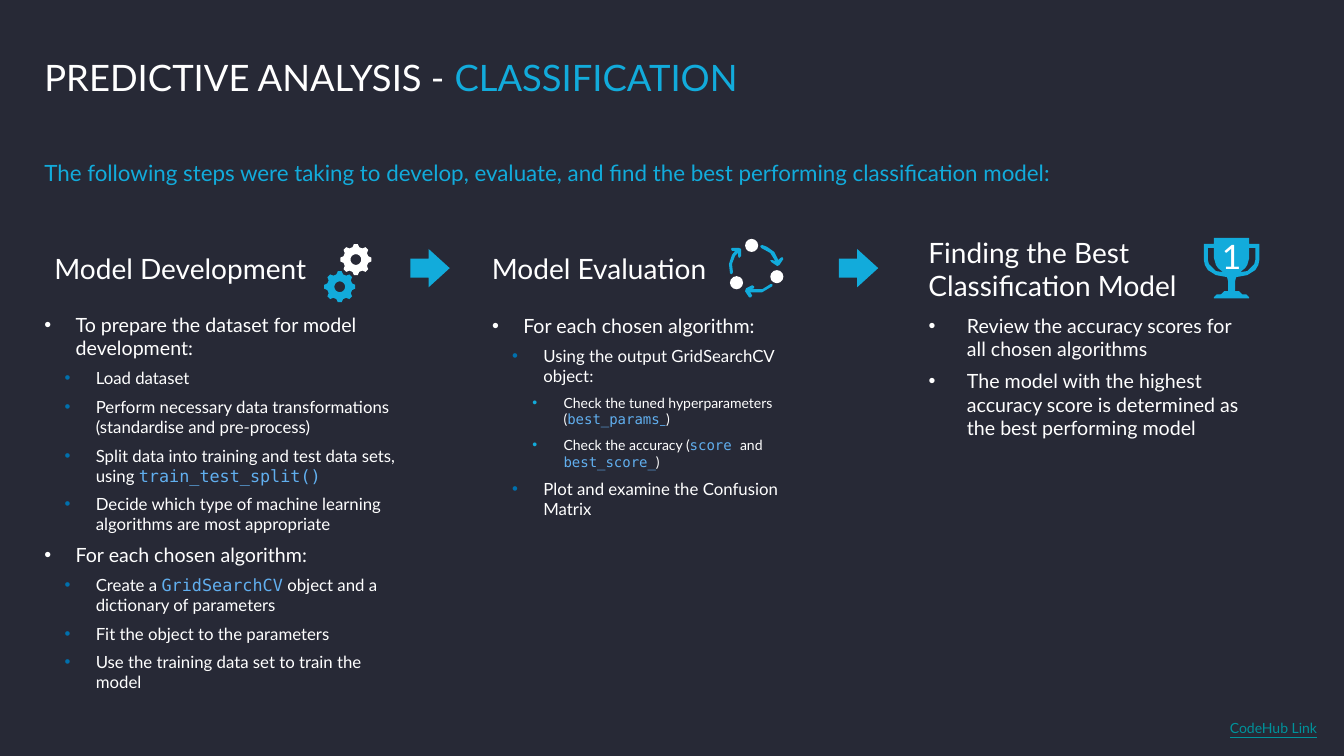
from dataclasses import dataclass
from math import cos, radians, sin
from typing import NamedTuple

from lxml.etree import SubElement
from pptx import Presentation
from pptx.dml.color import RGBColor
from pptx.enum.shapes import MSO_SHAPE
from pptx.enum.text import MSO_ANCHOR, MSO_AUTO_SIZE, PP_ALIGN
from pptx.oxml.ns import qn
from pptx.util import Emu, Pt

PX = 9144  # 100 px to the inch
WHITE, CYAN, BLUE, CODE_BLUE, TEAL = "FFFFFF", "12ABDB", "0070AD", "61AFEF", "00929B"
NIGHT = "272936"
LATO, MONO = "Lato", "DejaVu Sans Mono"
LEVEL_SIZES = (14, 12, 10)
BULLET_COLOURS = (WHITE, BLUE, CYAN)
HANGING, LEVEL_STEP = 31, 20

Points = list[tuple[float, float]]


class Span(NamedTuple):
    text: str
    colour: str = WHITE
    font: str = LATO


class Box(NamedTuple):
    left: int
    top: int
    width: int
    height: int


class Item(NamedTuple):
    level: int
    spans: list[Span]


@dataclass
class Step:
    heading: str
    heading_box: Box
    list_box: Box
    placeholder: int
    items: list[Item]
    inset: tuple[int, int] = (10, 5)
    hanging: int = HANGING


def code(text: str) -> Span:
    return Span(text, CODE_BLUE, MONO)


def item(level: int, *parts: str | Span) -> Item:
    return Item(level, [Span(part) if isinstance(part, str) else part for part in parts])


STEPS = [
    Step("Model Development", Box(44, 228, 378, 77), Box(44, 310, 363, 372), 2, [
        item(0, "To prepare the dataset for model development:"),
        item(1, "Load dataset"),
        item(1, "Perform necessary data transformations (standardise and pre-process)"),
        item(1, "Split data into training and test data sets, using ", code("train_test_split()")),
        item(1, "Decide which type of machine learning algorithms are most appropriate"),
        item(0, "For each chosen algorithm:"),
        item(1, "Create a ", code("GridSearchCV"), " object and a dictionary of parameters"),
        item(1, "Fit the object to the parameters"),
        item(1, "Use the training data set to train the model"),
    ], inset=(0, 0)),
    Step("Model Evaluation", Box(478, 232, 279, 69), Box(478, 306, 354, 376), 3, [
        item(0, "For each chosen algorithm:"),
        item(1, "Using the output GridSearchCV object:"),
        item(2, "Check the tuned hyperparameters (", code("best_params"), Span("_", CODE_BLUE), ")"),
        item(2, "Check the accuracy (", code("score "), "and ", code("best_score_"), ")"),
        item(1, "Plot and examine the Confusion Matrix"),
    ]),
    Step("Finding the Best Classification Model", Box(911, 227, 378, 79), Box(911, 306, 338, 376), 4, [
        item(0, "Review the accuracy scores for all chosen algorithms"),
        item(0, "The model with the highest accuracy score is determined as the best performing model"),
    ], hanging=38),
]
ARROW_LEFTS = (407, 832)

CYCLE_ARROWS: list[Points] = [
    [(755, 246), (764, 251), (769, 259), (766, 258), (764, 258), (765, 260), (771, 264), (773, 263),
     (777, 257), (776, 255), (774, 256), (772, 258), (768, 250), (761, 245), (756, 243), (754, 244)],
    [(724, 271), (725, 272), (726, 272), (727, 270), (726, 262), (729, 254), (732, 251), (732, 254),
     (733, 256), (735, 254), (735, 247), (733, 246), (726, 246), (725, 247), (726, 249), (729, 249),
     (726, 253), (723, 262)],
    [(764, 282), (756, 287), (745, 287), (748, 286), (748, 284), (746, 283), (740, 286), (739, 289),
     (743, 295), (745, 295), (746, 293), (744, 290), (756, 290), (766, 284), (766, 282)],
]
CYCLE_DOTS = ((724, 274), (764, 268), (739, 237))
DOT_SIZE = 13

TROPHY_AXIS = 1221.5
TROPHY_SIDE: Points = [
    (1239, 236), (1239, 242), (1249, 242), (1249, 258), (1248, 263), (1245, 268), (1237, 273),
    (1226, 275), (1225, 279), (1225, 289), (1229, 289), (1232, 292), (1236, 292), (1239, 295), (1239, 296)]
TROPHY_HANDLE: Points = [
    (1241, 265), (1244, 262), (1245, 258), (1245, 246), (1239, 246), (1239, 256), (1237, 263),
    (1235, 266), (1230, 270), (1237, 269)]


def hex_colour(value: str) -> RGBColor:
    return RGBColor.from_string(value)


def paint(shape, colour: str) -> None:
    shape.fill.solid()
    shape.fill.fore_color.rgb = hex_colour(colour)
    shape.line.fill.background()
    shape.shadow.inherit = False


def place(shape, box: Box) -> None:
    shape.left, shape.top, shape.width, shape.height = (Emu(px * PX) for px in box)


def set_frame(frame, inset=(10, 5), anchor=MSO_ANCHOR.TOP, wrap: bool = True) -> None:
    frame.auto_size = MSO_AUTO_SIZE.NONE
    frame.word_wrap = wrap
    frame.vertical_anchor = anchor
    frame.margin_left = frame.margin_right = Emu(inset[0] * PX)
    frame.margin_top = frame.margin_bottom = Emu(inset[1] * PX)


def write(paragraph, spans: list[Span], size: int, after: int = 0, underline: bool = False) -> None:
    paragraph.space_before, paragraph.space_after = Pt(0), Pt(after)
    for span in spans:
        run = paragraph.add_run()
        run.text = span.text
        run.font.name, run.font.size = span.font, Pt(size)
        run.font.bold, run.font.underline = False, underline
        run.font.color.rgb = hex_colour(span.colour)


def add_bullet(paragraph, level: int, hanging: int) -> None:
    properties = paragraph._p.get_or_add_pPr()
    properties.set("marL", str((hanging + level * LEVEL_STEP) * PX))
    properties.set("indent", str(-hanging * PX))
    colour = SubElement(properties, qn("a:buClr"))
    SubElement(colour, qn("a:srgbClr"), val=BULLET_COLOURS[level])
    SubElement(properties, qn("a:buFont"), typeface="Arial")
    SubElement(properties, qn("a:buChar"), char="•")
    paragraph.level = level


def add_outline(shapes, contours: list[Points], colour: str):
    """Draw closed contours as one shape; inner contours become holes."""
    scaled = [[(x * PX, y * PX) for x, y in contour] for contour in contours]
    builder = shapes.build_freeform(*scaled[0][0])
    builder.add_line_segments(scaled[0][1:])
    for hole in scaled[1:]:
        builder.move_to(*hole[0])
        builder.add_line_segments(hole[1:])
    shape = builder.convert_to_shape()
    paint(shape, colour)
    return shape


def add_gear(shapes, x: float, y: float, colour: str) -> None:
    def polar(angle: float, radius: float) -> tuple[float, float]:
        return x + radius * sin(radians(angle)), y - radius * cos(radians(angle))

    tooth = ((-15, 12.7), (-7, 15.5), (7, 15.5), (15, 12.7))
    rim = [polar(45 * n + angle, radius) for n in range(8) for angle, radius in tooth]
    hole = [polar(-15 * n, 5.3) for n in range(24)]
    add_outline(shapes, [rim, hole], colour)


def mirrored(points: Points) -> Points:
    return [(2 * TROPHY_AXIS - x, y) for x, y in reversed(points)]


def add_step(slide, step: Step) -> None:
    heading = slide.shapes.add_textbox(0, 0, 0, 0)
    place(heading, step.heading_box)
    set_frame(heading.text_frame, anchor=MSO_ANCHOR.MIDDLE)
    write(heading.text_frame.paragraphs[0], [Span(step.heading)], 20, after=6)

    body = slide.placeholders[step.placeholder]
    place(body, step.list_box)
    set_frame(body.text_frame, step.inset)
    for index, (level, spans) in enumerate(step.items):
        paragraph = body.text_frame.add_paragraph() if index else body.text_frame.paragraphs[0]
        add_bullet(paragraph, level, step.hanging)
        write(paragraph, spans, LEVEL_SIZES[level], after=6)


def main() -> None:
    deck = Presentation()
    deck.slide_width, deck.slide_height = Emu(1333 * PX), Emu(750 * PX)
    slide = deck.slides.add_slide(deck.slide_layouts.get_by_name("Comparison"))
    slide.background.fill.solid()
    slide.background.fill.fore_color.rgb = hex_colour(NIGHT)
    shapes = slide.shapes

    title = shapes.title
    place(title, Box(44, 21, 1197, 78))
    set_frame(title.text_frame, (0, 0), MSO_ANCHOR.BOTTOM)
    title_line = title.text_frame.paragraphs[0]
    title_line.alignment, title_line.line_spacing = PP_ALIGN.LEFT, 0.9
    write(title_line, [Span("PREDICTIVE ANALYSIS - "), Span("CLASSIFICATION", CYAN)], 26)

    intro = slide.placeholders[1]
    place(intro, Box(44, 158, 1247, 76))
    set_frame(intro.text_frame, (0, 0))
    write(intro.text_frame.paragraphs[0], [Span(
        "The following steps were taking to develop, evaluate, and find the best performing "
        "classification model:", CYAN)], 16, after=6)

    for step in STEPS:
        add_step(slide, step)
    for left in ARROW_LEFTS:
        arrow = shapes.add_shape(MSO_SHAPE.RIGHT_ARROW, 0, 0, 0, 0)
        place(arrow, Box(left, 247, 39, 38))
        arrow.adjustments[0], arrow.adjustments[1] = 0.5, 0.55
        paint(arrow, CYAN)

    gears = shapes.add_group_shape().shapes
    add_gear(gears, 353, 257.5, WHITE)
    add_gear(gears, 337, 284.5, CYAN)

    cycle = shapes.add_group_shape().shapes
    for outline in CYCLE_ARROWS:
        add_outline(cycle, [outline], CYAN)
    for left, top in CYCLE_DOTS:
        dot = cycle.add_shape(MSO_SHAPE.OVAL, *(Emu(px * PX) for px in (left, top, DOT_SIZE, DOT_SIZE)))
        paint(dot, WHITE)

    cup = TROPHY_SIDE + mirrored(TROPHY_SIDE)
    trophy = add_outline(shapes, [cup, TROPHY_HANDLE, mirrored(TROPHY_HANDLE)], CYAN)
    set_frame(trophy.text_frame, (0, 0), MSO_ANCHOR.MIDDLE)
    trophy.text_frame.margin_bottom = Emu(24 * PX)
    trophy.text_frame.paragraphs[0].alignment = PP_ALIGN.CENTER
    write(trophy.text_frame.paragraphs[0], [Span("1")], 24)

    link = shapes.add_textbox(0, 0, 0, 0)
    place(link, Box(1210, 709, 98, 28))
    set_frame(link.text_frame, wrap=False)
    write(link.text_frame.paragraphs[0], [Span("CodeHub Link", TEAL)], 10, underline=True)

    deck.save("out.pptx")


if __name__ == "__main__":
    main()
